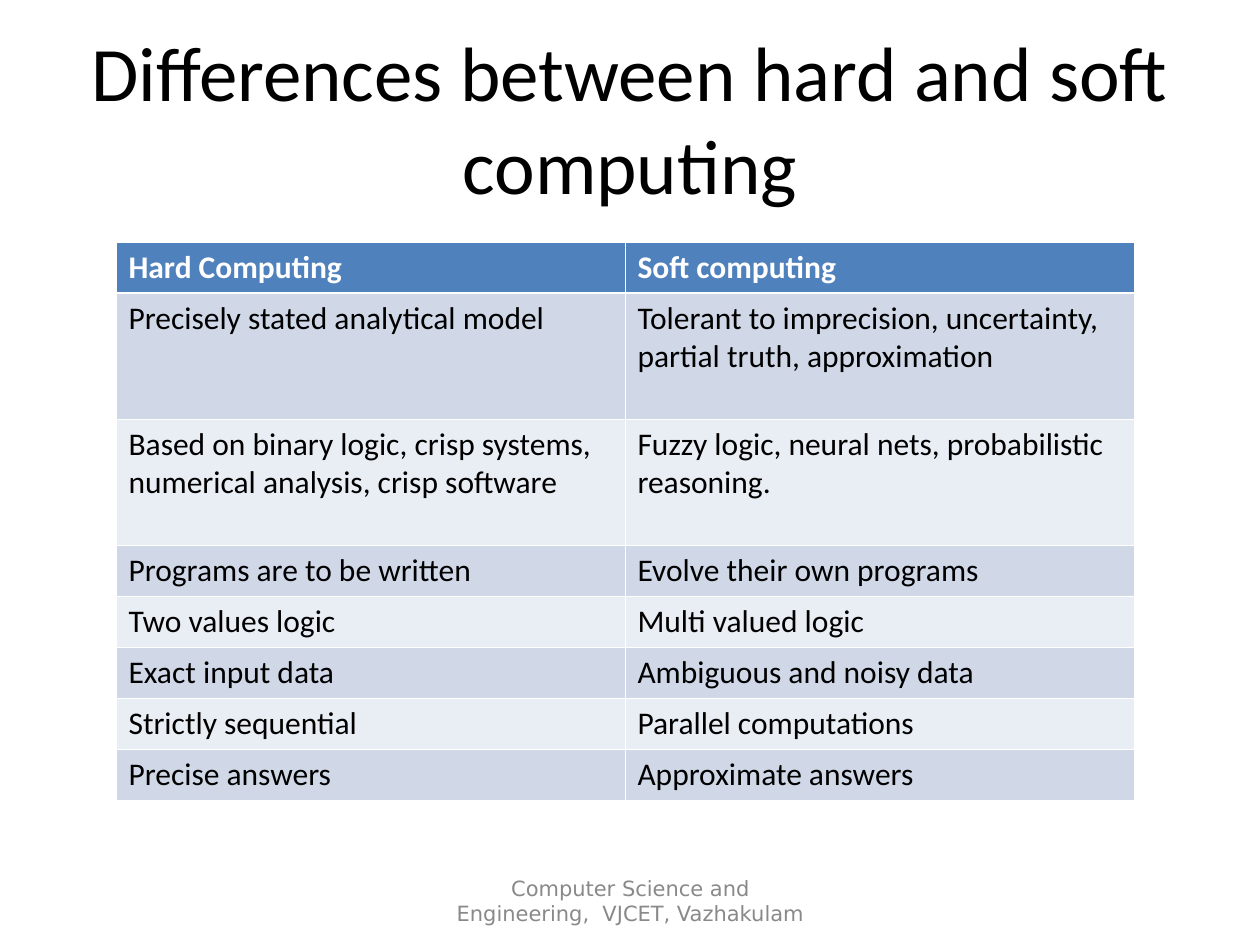
from dataclasses import dataclass

from lxml.etree import SubElement
from pptx import Presentation
from pptx.dml.color import RGBColor
from pptx.enum.text import MSO_ANCHOR, PP_ALIGN
from pptx.oxml.ns import qn
from pptx.util import Emu, Pt


@dataclass(frozen=True)
class Theme:
    font: str = "Calibri"
    footer_font: str = "DejaVu Sans"
    title_size: int = 44
    body_size: int = 18
    footer_size: int = 12
    text: str = "000000"
    footer: str = "898989"
    white: str = "FFFFFF"
    header: str = "4F81BD"
    bands: tuple = ("D0D8E8", "E9EDF4")
    thin: float = 0.45
    thick: float = 1.47


THEME = Theme()
PX_PER_INCH = 126
ROWS = [
    ("Hard Computing", "Soft computing"),
    ("Precisely stated analytical model",
     "Tolerant to imprecision, uncertainty, partial truth, approximation"),
    ("Based on binary logic, crisp systems, numerical analysis, crisp software",
     "Fuzzy logic, neural nets, probabilistic reasoning."),
    ("Programs are to be written", "Evolve their own programs"),
    ("Two values logic", "Multi valued logic"),
    ("Exact input data", "Ambiguous and noisy data"),
    ("Strictly sequential", "Parallel computations"),
    ("Precise answers", "Approximate answers"),
]
TALL_ROWS = (1, 2)
ROW_H, TALL_ROW_H = 51, 126


def px(n):
    return Emu(round(n * 914400 / PX_PER_INCH))


def set_font(p, name, size, color, bold=False):
    p.font.name = name
    p.font.size = Pt(size)
    p.font.bold = bold
    p.font.color.rgb = RGBColor.from_string(color)


def add_centered_text(slide, box, text, font, size, color, inset):
    tf = slide.shapes.add_textbox(*map(px, box)).text_frame
    tf.word_wrap = True
    tf.vertical_anchor = MSO_ANCHOR.MIDDLE
    tf.margin_left = tf.margin_right = px(inset[0])
    tf.margin_top = tf.margin_bottom = px(inset[1])
    p = tf.paragraphs[0]
    p.text = text
    p.alignment = PP_ALIGN.CENTER
    set_font(p, font, size, color)


def add_title(slide, box):
    add_centered_text(slide, box, "Differences between hard and soft computing",
                      THEME.font, THEME.title_size, THEME.text, (0, 0))


def add_footer(slide, box):
    add_centered_text(slide, box,
                      "Computer Science and Engineering,  VJCET, Vazhakulam",
                      THEME.footer_font, THEME.footer_size, THEME.footer, (13, 6))


def set_borders(cell, widths):
    tcPr = cell._tc.get_or_add_tcPr()
    for i, (side, width) in enumerate(widths.items()):
        ln = tcPr.makeelement(qn(f"a:ln{side}"), {"w": str(Pt(width))})
        fill = SubElement(ln, qn("a:solidFill"))
        SubElement(fill, qn("a:srgbClr"), val=THEME.white)
        tcPr.insert(i, ln)


def add_comparison(slide, box):
    table = slide.shapes.add_table(len(ROWS), 2, *map(px, box)).table
    for col in table.columns:
        col.width = px(box[2] // 2)
    for i, texts in enumerate(ROWS):
        table.rows[i].height = px(TALL_ROW_H if i in TALL_ROWS else ROW_H)
        is_header = i == 0
        fill = THEME.header if is_header else THEME.bands[(i - 1) % 2]
        widths = {"L": THEME.thin, "R": THEME.thin,
                  "T": THEME.thick if i == 1 else THEME.thin,
                  "B": THEME.thick if is_header else THEME.thin}
        for cell, text in zip(table.rows[i].cells, texts):
            cell.text = text
            cell.fill.solid()
            cell.fill.fore_color.rgb = RGBColor.from_string(fill)
            set_font(cell.text_frame.paragraphs[0], THEME.font, THEME.body_size,
                     THEME.white if is_header else THEME.text, is_header)
            set_borders(cell, widths)


def main():
    prs = Presentation()
    prs.slide_width, prs.slide_height = px(1260), px(945)
    slide = prs.slides.add_slide(prs.slide_layouts[6])
    add_title(slide, (63, 38, 1134, 158))
    add_comparison(slide, (116, 242, 1018, 558))
    add_footer(slide, (431, 876, 399, 50))
    prs.save("out.pptx")


if __name__ == "__main__":
    main()
